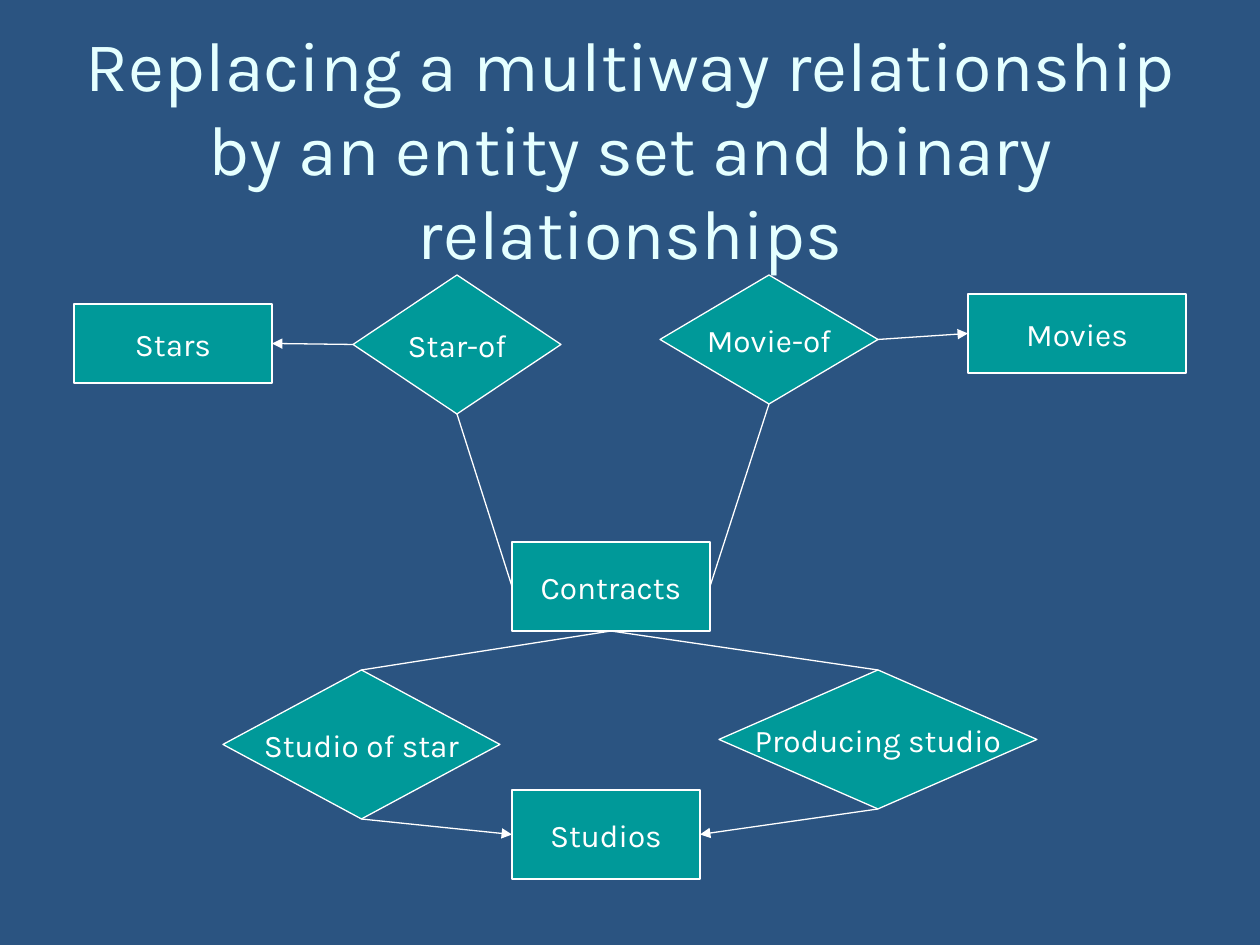
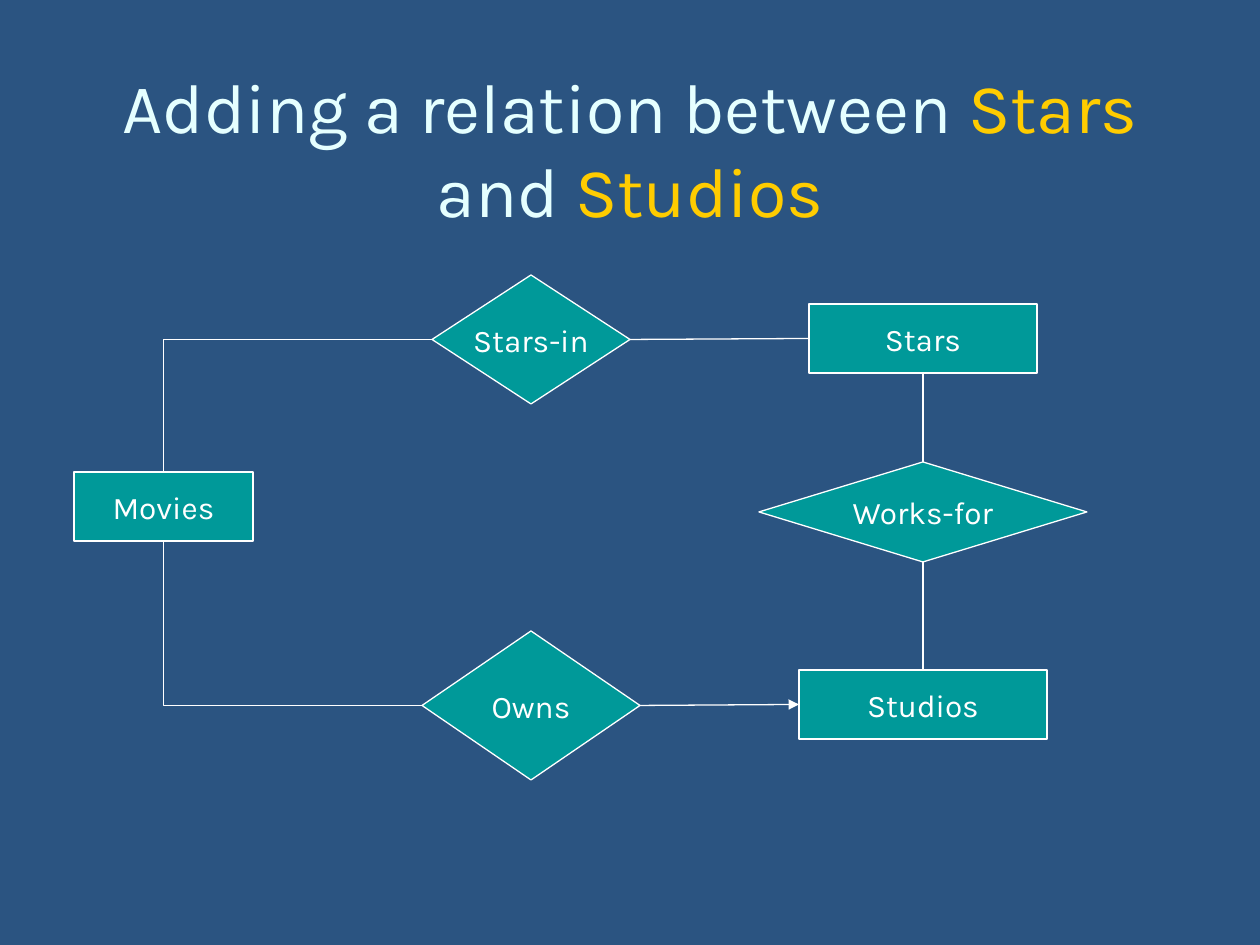
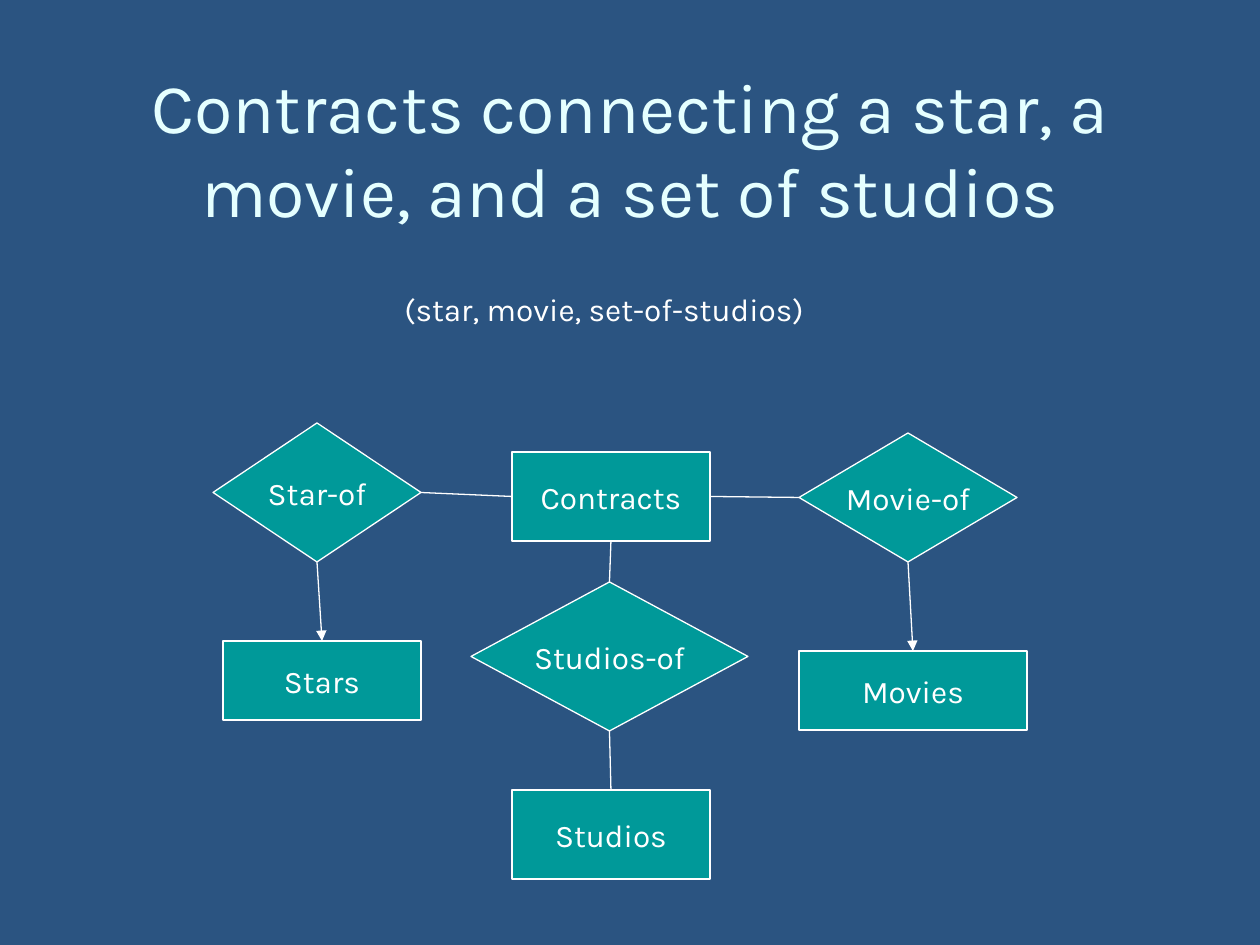
from lxml import etree
from pptx import Presentation
from pptx import util as u
from pptx.dml.color import RGBColor
from pptx.enum import shapes, text
from pptx.oxml.ns import qn

PX = 914400 / 126
NAVY, TEAL, WHITE, ICE, GOLD = "2B5481", "009999", "FFFFFF", "E5FFFF", "FFCC00"
FONT = "Karla"
TOP, LEFT, BOTTOM, RIGHT = range(4)
ENTITY = shapes.MSO_SHAPE.RECTANGLE
RELATION = shapes.MSO_SHAPE.FLOWCHART_DECISION
CENTERED = {"vertical_anchor": text.MSO_ANCHOR.MIDDLE}


def px(length):
    """Turn pixels into EMU."""
    return u.Emu(round(length * PX))


def color(value):
    """Turn a hex string into a colour."""
    return RGBColor.from_string(value)


def apply(target, values):
    """Set the attributes of an object from a dict."""
    for name, value in values.items():
        setattr(target, name, value)


def write(box, spans, size, align, frame_format):
    """Write one paragraph of (words, colour) spans."""
    frame = box.text_frame
    apply(frame, frame_format)
    para = frame.paragraphs[0]
    para.alignment = align
    for words, tint in spans:
        span = para.add_run()
        span.text = words
        apply(span.font, {"name": FONT, "size": u.Pt(size)})
        span.font.color.rgb = color(tint)


def add_page(deck, *title):
    """Add a blank page with its title."""
    page = deck.slides.add_slide(deck.slide_layouts[6])
    box = page.shapes.add_textbox(*map(px, (63, 53, 1134, 189)))
    write(box, title, 40, text.PP_ALIGN.CENTER, {"word_wrap": True, **CENTERED})
    return page


def add_nodes(page, kind, places):
    """Add labelled shapes of one kind and return them by label."""
    nodes = {}
    for label, place in places.items():
        node = page.shapes.add_shape(kind, *map(px, place))
        node.shadow.inherit = False
        node.fill.solid()
        node.fill.fore_color.rgb = color(TEAL)
        node.line.color.rgb = color(WHITE)
        node.line.width = u.Pt(0.75)
        write(node, [(label, WHITE)], 18, text.PP_ALIGN.CENTER,
              {"word_wrap": False, **CENTERED})
        nodes[label] = node
    return nodes


def add_link(page, start, start_side, end, end_side, arrow=False):
    """Join the sides of two nodes with a straight line."""
    link = page.shapes.add_connector(shapes.MSO_CONNECTOR.STRAIGHT, 0, 0, 0, 0)
    link.begin_connect(start, start_side)
    link.end_connect(end, end_side)
    link.line.color.rgb = color(WHITE)
    link.line.width = u.Pt(0.75)
    properties = link._element.spPr
    if arrow:
        etree.SubElement(properties.find(qn("a:ln")), qn("a:tailEnd"), type="triangle")
    etree.SubElement(properties, qn("a:effectLst"))
    return link


def add_corner_link(page, start, start_side, end, end_side):
    """Join two nodes with one vertical and then one horizontal stretch."""
    link = add_link(page, start, start_side, end, end_side)
    across, down = link.end_x - link.begin_x, link.end_y - link.begin_y
    center_x, center_y = link.begin_x + across // 2, link.begin_y + down // 2
    properties = link._element.spPr
    properties.find(qn("a:prstGeom")).set("prst", "bentConnector2")
    frame = properties.find(qn("a:xfrm"))
    frame.attrib.clear()
    frame.set("rot", str(270 * 60000))
    if down > 0:
        frame.set("flipH", "1")
    apply(link, {"left": center_x - abs(down) // 2, "top": center_y - across // 2,
                 "width": abs(down), "height": across})


def build_multiway(deck):
    """Build the page on replacing a multiway relationship."""
    page = add_page(deck, ("Replacing a multiway relationship by an entity set "
                           "and binary relationships", ICE))
    entity = add_nodes(page, ENTITY, {
        "Stars": (74, 304, 198, 79), "Movies": (968, 294, 218, 79),
        "Contracts": (512, 542, 198, 89), "Studios": (512, 790, 188, 89)})
    relation = add_nodes(page, RELATION, {
        "Movie-of": (660, 275, 218, 129), "Star-of": (353, 275, 208, 139),
        "Producing studio": (719, 670, 318, 139),
        "Studio of star": (223, 670, 277, 149)})
    contracts, studios = entity["Contracts"], entity["Studios"]
    add_link(page, relation["Star-of"], LEFT, entity["Stars"], RIGHT, True)
    add_link(page, relation["Movie-of"], RIGHT, entity["Movies"], LEFT, True)
    add_link(page, relation["Movie-of"], BOTTOM, contracts, RIGHT)
    add_link(page, contracts, LEFT, relation["Star-of"], BOTTOM)
    for label, side in (("Studio of star", LEFT), ("Producing studio", RIGHT)):
        add_link(page, relation[label], BOTTOM, studios, side, True)
        add_link(page, contracts, BOTTOM, relation[label], TOP)


def build_added_relation(deck):
    """Build the page on the relation between stars and studios."""
    page = add_page(deck, ("Adding a relation between ", ICE), ("Stars", GOLD),
                    (" and ", ICE), ("Studios", GOLD))
    entity = add_nodes(page, ENTITY, {
        "Movies": (74, 472, 179, 69), "Stars": (809, 304, 228, 69),
        "Studios": (799, 670, 248, 69)})
    relation = add_nodes(page, RELATION, {
        "Works-for": (759, 462, 328, 100), "Stars-in": (432, 275, 198, 129),
        "Owns": (422, 631, 218, 149)})
    add_corner_link(page, entity["Movies"], BOTTOM, relation["Owns"], LEFT)
    add_corner_link(page, entity["Movies"], TOP, relation["Stars-in"], LEFT)
    add_link(page, relation["Owns"], RIGHT, entity["Studios"], LEFT, True)
    add_link(page, relation["Stars-in"], RIGHT, entity["Stars"], LEFT)
    add_link(page, entity["Stars"], BOTTOM, relation["Works-for"], TOP)
    add_link(page, relation["Works-for"], BOTTOM, entity["Studios"], TOP)


def build_contracts(deck):
    """Build the page on contracts with a set of studios."""
    page = add_page(deck, ("Contracts connecting a star, a movie, "
                           "and a set of studios", ICE))
    entity = add_nodes(page, ENTITY, {
        "Stars": (223, 641, 198, 79), "Movies": (799, 651, 228, 79),
        "Contracts": (512, 452, 198, 89), "Studios": (512, 790, 198, 89)})
    relation = add_nodes(page, RELATION, {
        "Movie-of": (799, 433, 218, 129), "Star-of": (213, 423, 208, 139),
        "Studios-of": (471, 582, 277, 149)})
    contracts = entity["Contracts"]
    add_link(page, relation["Star-of"], BOTTOM, entity["Stars"], TOP, True)
    add_link(page, relation["Movie-of"], BOTTOM, entity["Movies"], TOP, True)
    add_link(page, relation["Movie-of"], LEFT, contracts, RIGHT)
    add_link(page, contracts, LEFT, relation["Star-of"], RIGHT)
    add_link(page, relation["Studios-of"], BOTTOM, entity["Studios"], TOP)
    add_link(page, contracts, BOTTOM, relation["Studios-of"], TOP)
    box = page.shapes.add_textbox(*map(px, (392, 284, 425, 50)))
    write(box, [("(star, movie, set-of-studios)", WHITE)], 18,
          text.PP_ALIGN.LEFT, {"word_wrap": True})


def main():
    """Build and save the deck."""
    deck = Presentation()
    apply(deck, {"slide_width": px(1260), "slide_height": px(945)})
    backdrop = deck.slide_master.background.fill
    backdrop.solid()
    backdrop.fore_color.rgb = color(NAVY)
    build_multiway(deck)
    build_added_relation(deck)
    build_contracts(deck)
    deck.save("out.pptx")


if __name__ == "__main__":
    main()
